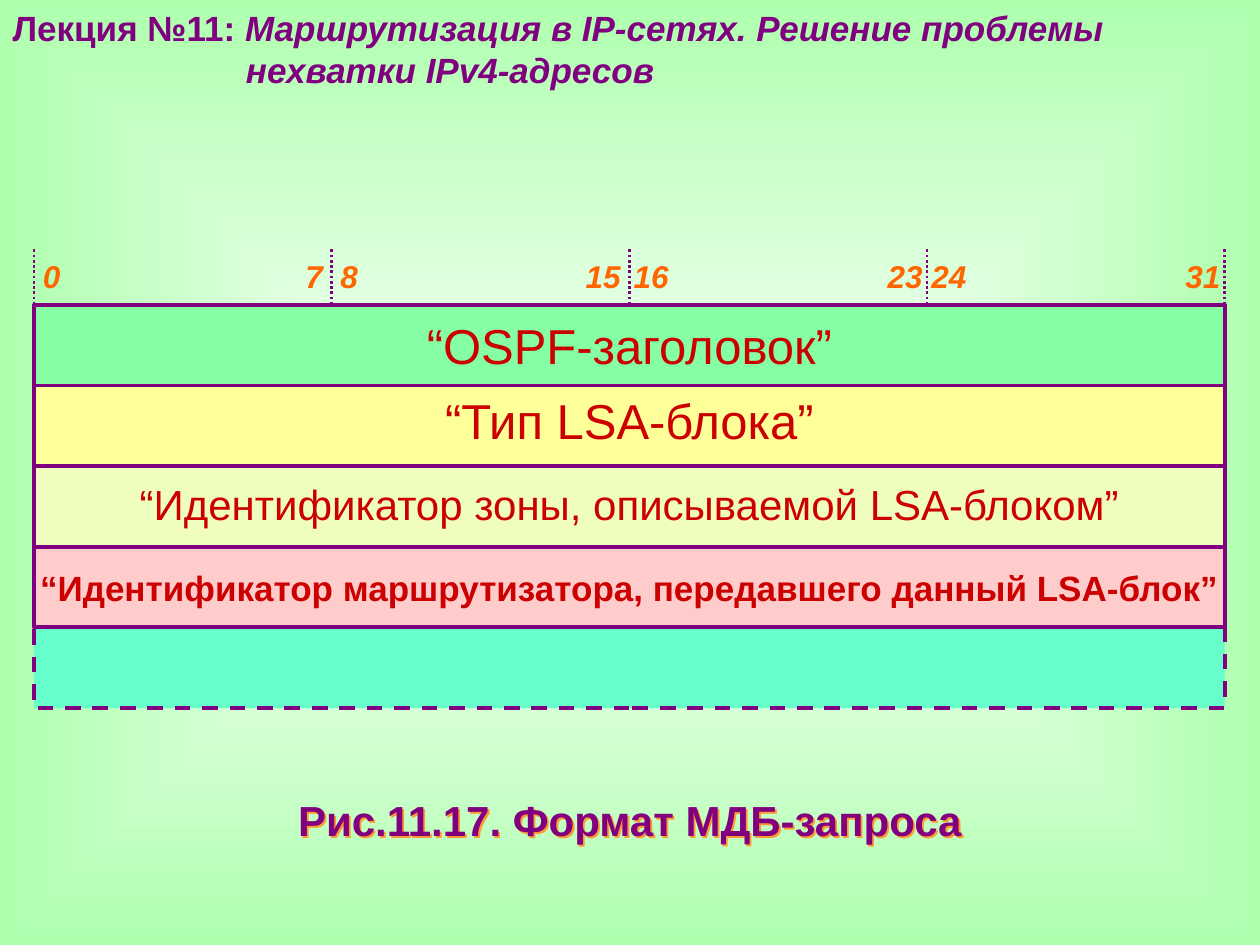
from lxml import etree
from pptx import Presentation
from pptx.dml.color import RGBColor
from pptx.enum.dml import MSO_LINE
from pptx.enum.shapes import MSO_CONNECTOR, MSO_SHAPE
from pptx.enum.text import MSO_ANCHOR, MSO_AUTO_SIZE, PP_ALIGN
from pptx.oxml.ns import qn
from pptx.util import Pt

RECTANGLE = MSO_SHAPE.RECTANGLE
STRAIGHT = MSO_CONNECTOR.STRAIGHT
DASH, DOT = MSO_LINE.DASH, MSO_LINE.ROUND_DOT
TOP, MIDDLE = MSO_ANCHOR.TOP, MSO_ANCHOR.MIDDLE
LEFT, CENTER = PP_ALIGN.LEFT, PP_ALIGN.CENTER
NO_AUTO_SIZE = MSO_AUTO_SIZE.NONE

WHITE = RGBColor(0xFF, 0xFF, 0xFF)
PALE_GREEN = RGBColor(0xAF, 0xFF, 0xAF)
PURPLE = RGBColor(0x80, 0x00, 0x80)
ORANGE = RGBColor(0xFF, 0x66, 0x00)
LIGHT_ORANGE = RGBColor(0xFF, 0x99, 0x33)
RED = RGBColor(0xCC, 0x00, 0x00)
GREEN = RGBColor(0x86, 0xFE, 0xA3)
YELLOW = RGBColor(0xFF, 0xFF, 0x99)
LIME = RGBColor(0xEF, 0xFE, 0xBE)
PINK = RGBColor(0xFF, 0xCC, 0xCC)
TURQUOISE = RGBColor(0x66, 0xFF, 0xCC)

FONT = "Arial"
FRAME_LEFT, FRAME_WIDTH = 19.44, 680.4
BYTE_WIDTH = FRAME_WIDTH / 4
ROW_TOP, ROW_HEIGHT = 174.24, 46.08
TICK_TOP, TICK_BOTTOM = 142.5, 185
LABEL_HEIGHT = 30.24

# text, fill, size, bold, line spacing
FIELDS = [
    ("“OSPF-заголовок”", GREEN, 28, False, 1.0),
    ("“Тип LSA-блока”", YELLOW, 28, False, 0.8),
    ("“Идентификатор зоны, описываемой LSA-блоком”", LIME, 24, False, 0.9),
    ("“Идентификатор маршрутизатора, передавшего данный LSA-блок”",
     PINK, 20, True, 1.0),
]
# first bit, last bit, side padding
BYTES = [("0", "7", 5), ("8", "15", 5), ("16", "23", 2.5), ("24", "31", 2.5)]


def add_span(para, text, size, color, bold=True, italic=False):
    span = para.add_run()
    span.text = text
    font = span.font
    font.name, font.size = FONT, Pt(size)
    font.bold, font.italic = bold, italic
    font.color.rgb = color


def place(shape, left, top, width, height):
    shape.left, shape.top = Pt(left), Pt(top)
    shape.width, shape.height = Pt(width), Pt(height)


def set_insets(frame, side):
    frame.margin_left = frame.margin_right = Pt(side)
    frame.margin_top = frame.margin_bottom = 0


def set_background(page):
    fill = page.background.fill
    fill.gradient()
    for stop, color in zip(fill.gradient_stops, (WHITE, PALE_GREEN)):
        stop.color.rgb = color
    gradient = page.background._cSld.find(".//" + qn("a:gradFill"))
    gradient.remove(gradient.find(qn("a:lin")))
    shading = etree.SubElement(gradient, qn("a:path"), path="shape")
    etree.SubElement(shading, qn("a:fillToRect"),
                     l="50000", t="50000", r="50000", b="50000")


def add_title(page):
    title = page.shapes.title
    place(title, 0, 0, 650, 55.44)
    frame = title.text_frame
    frame.vertical_anchor, frame.auto_size = TOP, NO_AUTO_SIZE
    frame.word_wrap = True
    first, second = frame.paragraphs[0], frame.add_paragraph()
    first.alignment = second.alignment = LEFT
    add_span(first, "Лекция №11: ", 20, PURPLE)
    add_span(first, "Маршрутизация в IP-сетях. Решение проблемы",
             20, PURPLE, italic=True)
    second._p.get_or_add_pPr().set("marL", str(Pt(133.3)))
    add_span(second, "нехватки IPv4-адресов", 20, PURPLE, italic=True)


def add_caption(page):
    box = page.shapes.add_textbox(0, Pt(450.72), Pt(720), Pt(36))
    box.text_frame.word_wrap = True
    para = box.text_frame.paragraphs[0]
    para.alignment = CENTER
    add_span(para, "Рис.11.17. Формат МДБ-запроса", 24, PURPLE)
    effects = etree.SubElement(box._element.spPr, qn("a:effectLst"))
    shadow = etree.SubElement(effects, qn("a:outerShdw"),
                              dist=str(Pt(1.5)), dir="2700000")
    etree.SubElement(shadow, qn("a:srgbClr"), val=str(LIGHT_ORANGE))


def add_row(page, index, fill):
    row = page.shapes.add_shape(
        RECTANGLE, Pt(FRAME_LEFT), Pt(ROW_TOP + index * ROW_HEIGHT),
        Pt(FRAME_WIDTH), Pt(ROW_HEIGHT))
    row.shadow.inherit = False
    row.fill.solid()
    row.fill.fore_color.rgb = fill
    row.line.color.rgb = PURPLE
    row.line.width = Pt(2.25)
    return row


def add_field(page, index, text, fill, size, bold, spacing):
    frame = add_row(page, index, fill).text_frame
    set_insets(frame, 0)
    frame.word_wrap, frame.vertical_anchor = True, MIDDLE
    para = frame.paragraphs[0]
    para.alignment, para.line_spacing = CENTER, spacing
    add_span(para, text, size, RED, bold)


def add_tick(page, x):
    tick = page.shapes.add_connector(
        STRAIGHT, Pt(x), Pt(TICK_TOP), Pt(x), Pt(TICK_BOTTOM))
    tick.line.color.rgb = PURPLE
    tick.line.width = Pt(1.5)
    tick.line.dash_style = DOT
    etree.SubElement(tick._element.spPr, qn("a:effectLst"))


def add_byte_label(page, x, first_bit, last_bit, padding):
    """Put the first bit at the left and the last at a right tab stop."""
    box = page.shapes.add_textbox(
        Pt(x), Pt(TICK_TOP), Pt(BYTE_WIDTH), Pt(LABEL_HEIGHT))
    frame = box.text_frame
    set_insets(frame, padding)
    frame.margin_right = 0
    frame.word_wrap, frame.vertical_anchor = True, MIDDLE
    para = frame.paragraphs[0]
    para.alignment = LEFT
    tabs = etree.SubElement(para._p.get_or_add_pPr(), qn("a:tabLst"))
    etree.SubElement(tabs, qn("a:tab"),
                     pos=str(Pt(BYTE_WIDTH - 2 * padding)), algn="r")
    add_span(para, f"{first_bit}\t{last_bit}", 18, ORANGE, italic=True)


def main():
    deck = Presentation()
    deck.slide_width, deck.slide_height = Pt(720), Pt(540)
    page = deck.slides.add_slide(deck.slide_layouts[5])
    set_background(page)
    add_title(page)
    add_caption(page)
    add_row(page, len(FIELDS), TURQUOISE).line.dash_style = DASH
    for index in range(len(BYTES) + 1):
        add_tick(page, FRAME_LEFT + index * BYTE_WIDTH)
    for index, label in enumerate(BYTES):
        add_byte_label(page, FRAME_LEFT + index * BYTE_WIDTH, *label)
    for index, field in enumerate(FIELDS):
        add_field(page, index, *field)
    deck.save("out.pptx")


if __name__ == "__main__":
    main()
